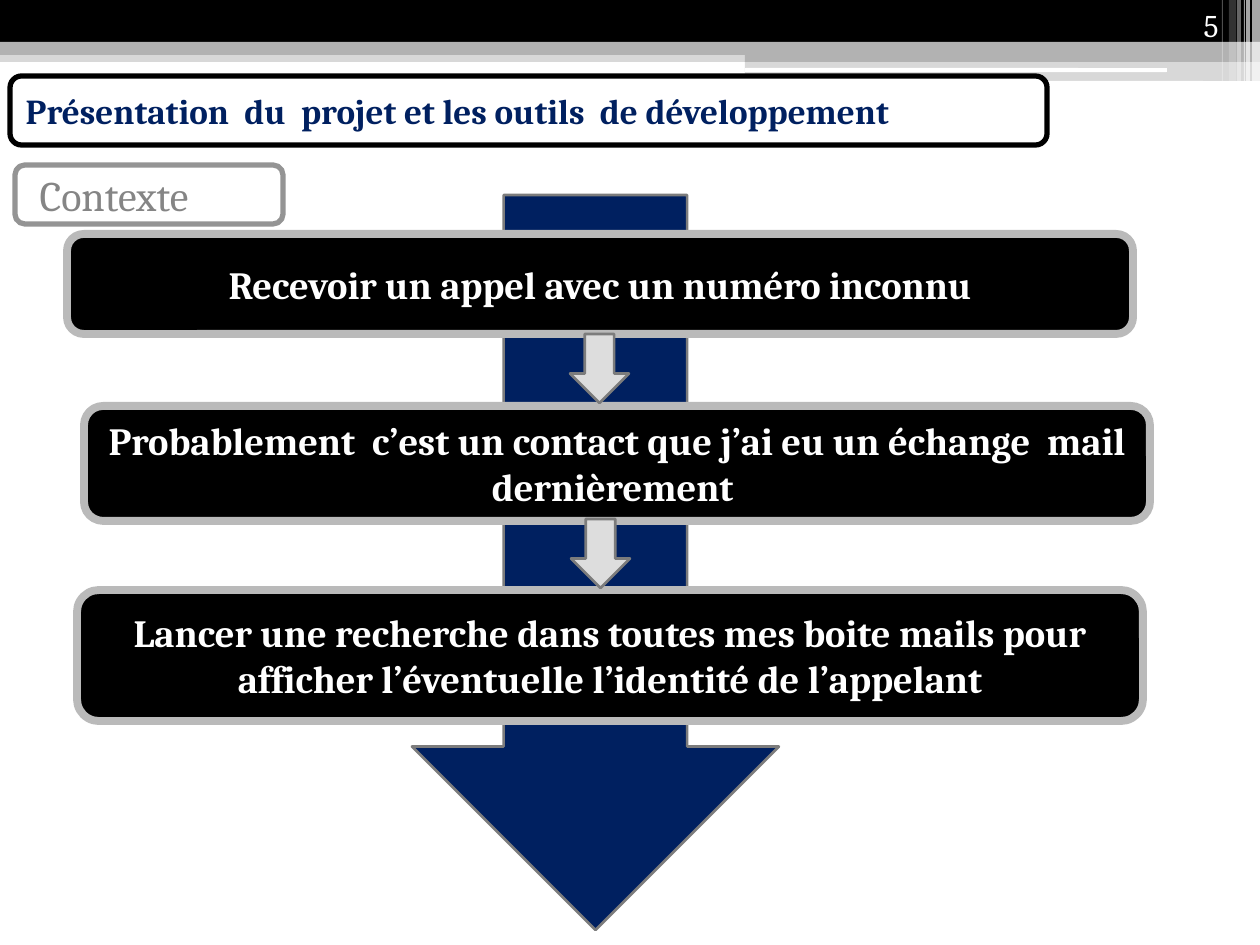
from lxml.etree import SubElement
from pptx import Presentation
from pptx.dml.color import RGBColor
from pptx.enum.shapes import MSO_SHAPE
from pptx.enum.text import MSO_ANCHOR, PP_ALIGN
from pptx.oxml.ns import qn
from pptx.util import Pt

EMU_PER_PX = 914400 / 126
COLORS = {
    "black": "000000", "white": "FFFFFF", "navy": "002060",
    "band": "B2B2B2", "step_line": "BABABA", "arrow": "DDDDDD",
    "arrow_line": "7C7C7C", "context_line": "949494", "context_text": "858585",
}

presentation = Presentation()
presentation.slide_width = round(1260 * EMU_PER_PX)
presentation.slide_height = round(945 * EMU_PER_PX)
slide = presentation.slides.add_slide(presentation.slide_layouts[6])


def add_box(kind, box, fill, line=None, line_width=0, opacity=100):
    shape = slide.shapes.add_shape(kind, *[round(px * EMU_PER_PX) for px in box])
    shape.shadow.inherit = False
    shape.fill.solid()
    shape.fill.fore_color.rgb = RGBColor.from_string(COLORS[fill])
    if opacity < 100:
        color = shape.fill._xPr.find(qn("a:solidFill"))[0]
        SubElement(color, qn("a:alpha")).set("val", str(opacity * 1000))
    if line:
        shape.line.color.rgb = RGBColor.from_string(COLORS[line])
        shape.line.width = Pt(line_width)
    else:
        shape.line.fill.background()
    return shape


def write(shape, text, size, color, bold=False, align=PP_ALIGN.LEFT, anchor=MSO_ANCHOR.MIDDLE):
    text_frame = shape.text_frame
    text_frame.word_wrap = True
    text_frame.vertical_anchor = anchor
    text_frame.text = text
    paragraph = text_frame.paragraphs[0]
    paragraph.alignment = align
    font = paragraph.runs[0].font
    font.name = "Cambria"
    font.size = Pt(size)
    font.bold = bold
    font.color.rgb = RGBColor.from_string(COLORS[color])


# Header bands
for box, fill, opacity in [
    ((0, 50, 1260, 12), "band", 50),
    ((0, 0, 1260, 43), "black", 100),
    ((0, 42, 1260, 13), "band", 100),
    ((745, 49, 515, 13), "band", 100),
    ((745, 61, 515, 20), "band", 50),
]:
    add_box(MSO_SHAPE.RECTANGLE, box, fill, opacity=opacity)

# White highlights under the bands
for box in [(745, 68, 422, 4), (1016, 81, 220, 5)]:
    add_box(MSO_SHAPE.ROUNDED_RECTANGLE, box, "white")

# Translucent stripes in the corner
for left, width, height, opacity in [
    (1252, 8, 86, 65), (1246, 4, 86, 65), (1244, 1, 86, 60),
    (1237, 4, 86, 40), (1229, 7, 81, 20), (1222, 1, 81, 30),
]:
    add_box(MSO_SHAPE.RECTANGLE, (left, 0, width, height), "white", opacity=opacity)

# Large arrow behind the steps
add_box(MSO_SHAPE.DOWN_ARROW, (412, 195, 367, 735), "navy", "arrow_line", 1.5)

# Steps
for left, top, height, text in [
    (67, 234, 100, "Recevoir un appel avec un numéro inconnu"),
    (84, 406, 115, "Probablement  c’est un contact que j’ai eu un échange  mail dernièrement "),
    (77, 590, 131, "Lancer une recherche dans toutes mes boite mails pour "
                   "afficher l’éventuelle l’identité de l’appelant"),
]:
    step = add_box(MSO_SHAPE.ROUNDED_RECTANGLE, (left, top, 1066, height), "black", "step_line", 4.5)
    write(step, text, 22, "white", bold=True, align=PP_ALIGN.CENTER)

# Small arrows between the steps
for left, top in [(570, 334), (571, 519)]:
    add_box(MSO_SHAPE.DOWN_ARROW, (left, top, 59, 69), "arrow", "arrow_line", 1.5)

# Title and subtitle
title = add_box(MSO_SHAPE.ROUNDED_RECTANGLE, (10, 76, 1037, 69), "white", "black", 3)
write(title, "Présentation  du  projet et les outils  de développement", 20, "navy", bold=True)
context = add_box(MSO_SHAPE.ROUNDED_RECTANGLE, (15, 165, 268, 59), "white", "context_line", 3)
write(context, " Contexte", 24, "context_text")

# Slide number
number = slide.shapes.add_textbox(*[round(px * EMU_PER_PX) for px in (1126, 0, 105, 50)])
write(number, "5", 18, "white", align=PP_ALIGN.RIGHT, anchor=MSO_ANCHOR.BOTTOM)

presentation.save("out.pptx")
